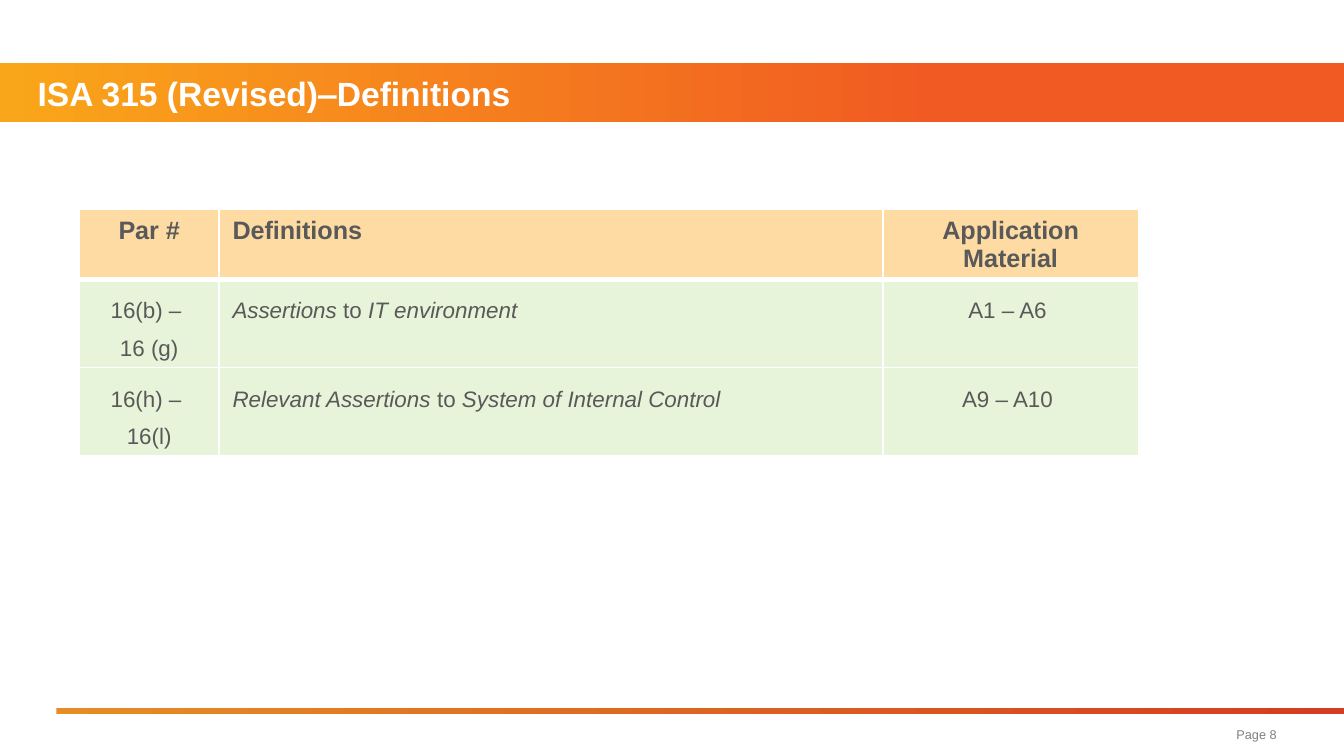
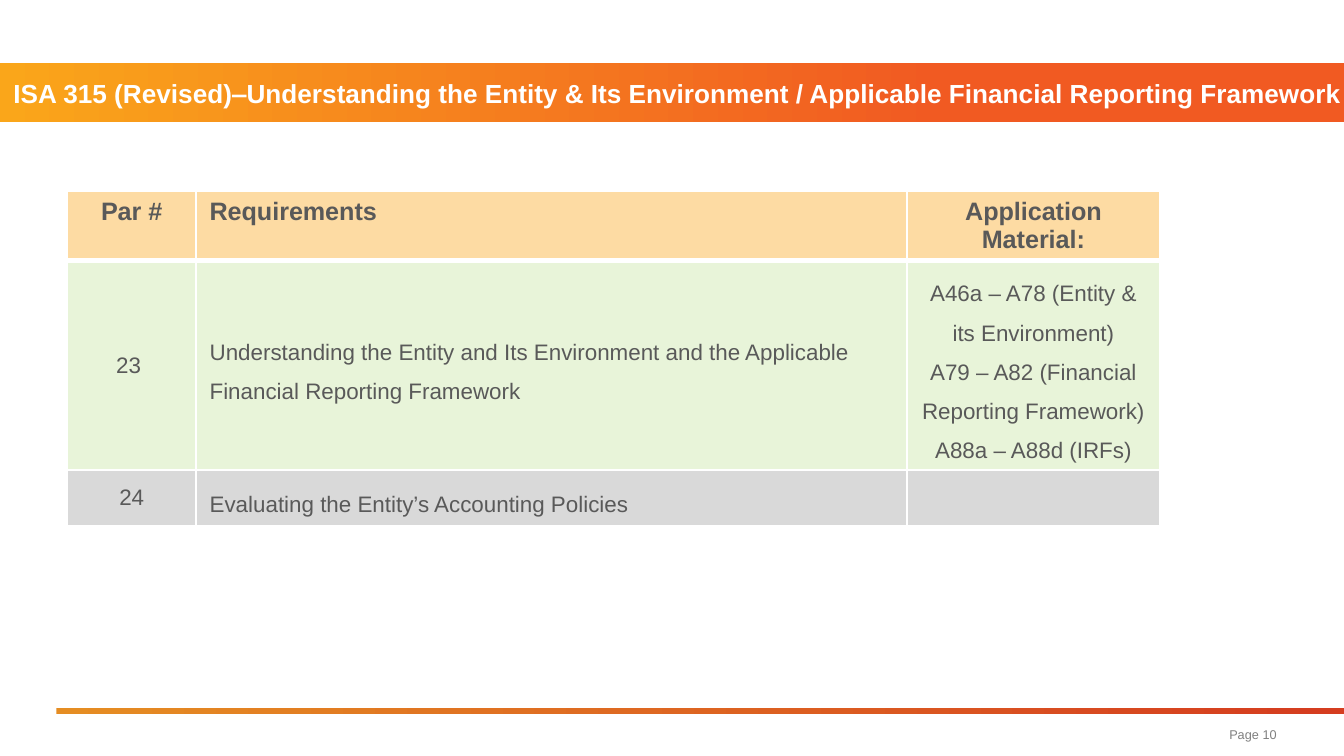
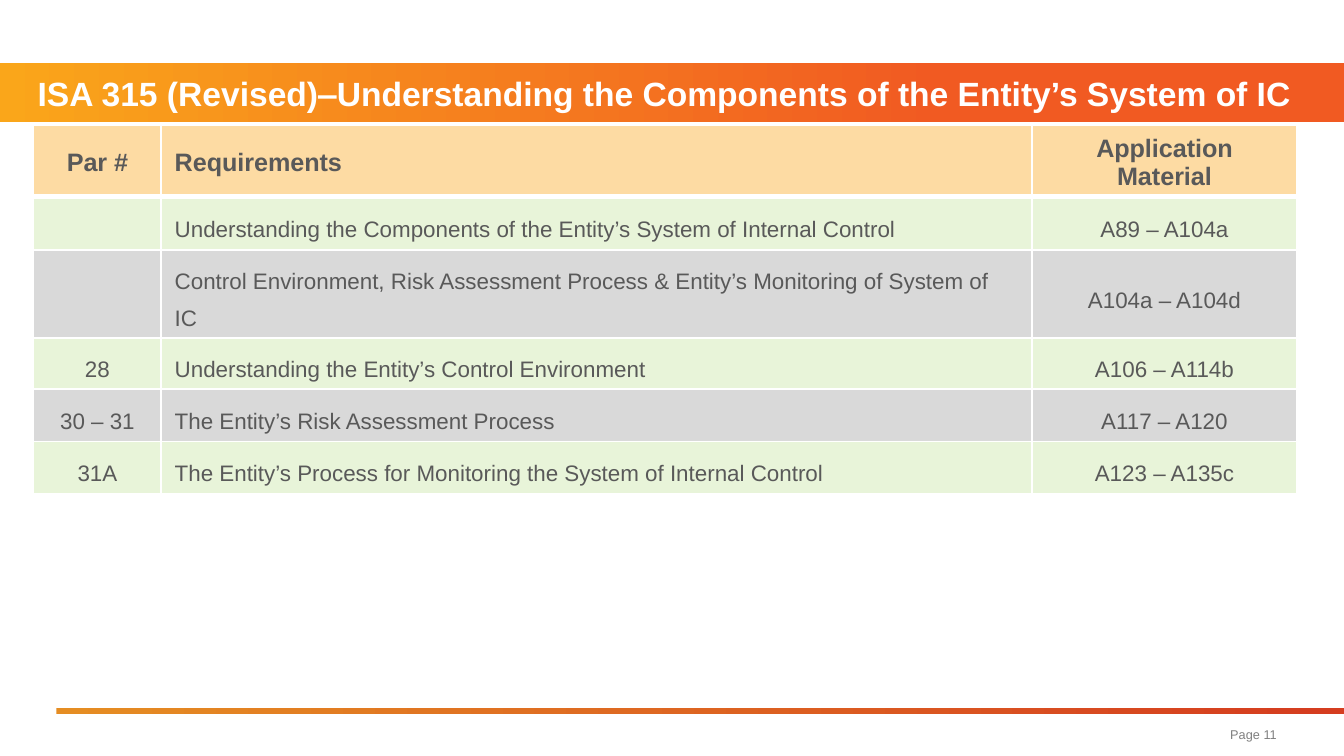
import pptx
import pptx.util
import pptx.dml.color
import pptx.enum.shapes
import pptx.enum.text
import pptx.oxml
import pptx.oxml.ns

Inches = pptx.util.Inches
Pt = pptx.util.Pt
RGBColor = pptx.dml.color.RGBColor
ALIGN = pptx.enum.text.PP_ALIGN
ANCHOR = pptx.enum.text.MSO_ANCHOR

WHITE = RGBColor(0xFF, 0xFF, 0xFF)
GREY = RGBColor(0x80, 0x80, 0x80)
DARK = RGBColor(0x59, 0x59, 0x59)
PEACH = RGBColor(0xFD, 0xDB, 0xA3)
GREEN = RGBColor(0xE8, 0xF4, 0xD9)
SILVER = RGBColor(0xD9, 0xD9, 0xD9)
AMBER = RGBColor(0xFA, 0xA6, 0x1A)
ORANGE = RGBColor(0xF1, 0x5A, 0x22)
GOLD = RGBColor(0xE5, 0x8D, 0x23)
RED = RGBColor(0xD5, 0x3D, 0x20)

BANDS = [
    ((0, 0.47, 10, 0.44), AMBER, ORANGE, 0.7),
    ((0.42, 5.27, 9.58, 0.04), GOLD, RED, 0.99),
]

PAGES = [
    dict(
        title="ISA 315 (Revised)‒Definitions", left=0, inset=0.28, size=18, page=8,
        at=(0.59, 1.56), cols=(1.04, 4.94, 1.9), highs=(0.51, 0.65, 0.65),
        leads=(20, 20, 20), fills=(GREEN, GREEN), head=ANCHOR.TOP, body=ANCHOR.TOP,
        rows=[
            ("Par #", "Definitions", "Application Material"),
            ("16(b) – \n16 (g)", "*Assertions* to *IT environment*", "A1 – A6 "),
            ("16(h) – \n16(l)", "*Relevant Assertions *to* System of Internal Control*",
             "A9 – A10 "),
        ],
    ),
    dict(
        title="ISA 315 (Revised)‒Understanding the Entity & Its Environment / "
              "Applicable Financial Reporting Framework",
        left=0.1, inset=0, size=14, page=10,
        at=(0.5, 1.42), cols=(0.96, 5.29, 1.88), highs=(0.51, 1.55, 0.41),
        leads=(None, 21, 21), fills=(GREEN, SILVER), head=ANCHOR.TOP, body=ANCHOR.MIDDLE,
        rows=[
            ("Par #", "Requirements", "Application Material:"),
            ("23 ",
             "Understanding the Entity and Its Environment and the Applicable "
             "Financial Reporting Framework",
             ["A46a – A78 (Entity & its Environment)",
              "A79 ‒ A82 (Financial Reporting Framework)",
              "A88a ‒ A88d (IRFs)"]),
            ("24", "Evaluating the Entity’s Accounting Policies", ""),
        ],
    ),
    dict(
        title="ISA 315 (Revised)‒Understanding the Components of the Entity’s System of IC",
        left=0, inset=0.28, size=18, page=11,
        at=(0.25, 0.93), cols=(0.95, 6.48, 1.97), highs=(0.53, 0.39, 0.65, 0.38, 0.39, 0.39),
        leads=(20, 20, 20), fills=(GREEN, SILVER), head=ANCHOR.MIDDLE, body=ANCHOR.MIDDLE,
        rows=[
            ("Par #", "Requirements", "Application Material"),
            ("", "Understanding the Components of the Entity’s System of Internal Control",
             "A89 – A104a"),
            ("", "Control Environment, Risk Assessment Process & Entity’s Monitoring "
             "of System of IC", "A104a – A104d"),
            ("28", "Understanding the Entity’s Control Environment", "A106 – A114b"),
            ("30 ‒ 31", "The Entity’s Risk Assessment Process", "A117 – A120"),
            ("31A", "The Entity’s Process for Monitoring the System of Internal Control",
             "A123 – A135c"),
        ],
    ),
]


def write(frame, text, size=12, color=DARK, bold=False, align=ALIGN.LEFT, lead=None):
    frame.word_wrap = True
    for i, part in enumerate(text if isinstance(text, list) else [text]):
        para = frame.add_paragraph() if i else frame.paragraphs[0]
        para.alignment = align
        if lead:
            para.line_spacing = Pt(lead)
        for j, line in enumerate(part.split("\n")):
            if j:
                para.add_line_break()
            for k, words in enumerate(line.split("*")):
                if words:
                    run = para.add_run()
                    run.text = words
                    font = run.font
                    font.name = "Arial"
                    font.size = Pt(size)
                    font.bold = bold
                    font.italic = k % 2 == 1
                    font.color.rgb = color


def place(slide, left, top, width, height, inset=0):
    box = slide.shapes.add_textbox(Inches(left), Inches(top), Inches(width), Inches(height))
    frame = box.text_frame
    frame.margin_left = Inches(inset)
    frame.margin_right = frame.margin_top = frame.margin_bottom = 0
    frame.vertical_anchor = ANCHOR.MIDDLE
    return frame


deck = pptx.Presentation()
deck.slide_width = Inches(10)
deck.slide_height = Inches(10) * 9 // 16

for page in PAGES:
    slide = deck.slides.add_slide(deck.slide_layouts[6])
    for spot, start, end, stop in BANDS:
        band = slide.shapes.add_shape(
            pptx.enum.shapes.MSO_SHAPE.RECTANGLE, *[Inches(n) for n in spot])
        band.shadow.inherit = False
        band.line.fill.background()
        band.fill.gradient()
        band.fill.gradient_angle = 0
        first, last = band.fill.gradient_stops
        first.color.rgb, first.position = start, 0
        last.color.rgb, last.position = end, stop

    write(place(slide, page["left"], 0.47, 10, 0.44, page["inset"]), page["title"],
          size=page["size"], color=WHITE, bold=True)
    write(place(slide, 7.79, 5.34, 1.71, 0.25), f"Page {page['page']}",
          size=6.8, color=GREY, align=ALIGN.RIGHT)

    cols, highs = page["cols"], page["highs"]
    table = slide.shapes.add_table(
        len(highs), len(cols), *[Inches(n) for n in page["at"]],
        Inches(sum(cols)), Inches(sum(highs))).table
    table.first_row = table.horz_banding = False
    for col, width in zip(table.columns, cols):
        col.width = Inches(width)
    for r, (row, high) in enumerate(zip(table.rows, highs)):
        row.height = Inches(high)
        for c, cell in enumerate(row.cells):
            props = cell._tc.get_or_add_tcPr()
            for side in "LRTB":
                thick = (r, side) in [(0, "B"), (1, "T")]
                props.append(pptx.oxml.parse_xml(
                    f'<a:ln{side} {pptx.oxml.ns.nsdecls("a")} w="{Pt(3 if thick else 1)}">'
                    f'<a:solidFill><a:srgbClr val="{WHITE}"/></a:solidFill></a:ln{side}>'))
            cell.fill.solid()
            cell.fill.fore_color.rgb = page["fills"][(r - 1) % 2] if r else PEACH
            cell.vertical_anchor = page["body"] if r else page["head"]
            if r == 0:
                cell.margin_bottom = Inches(0.02)
            if c == 1:
                cell.margin_right = Inches(0.15)
            write(cell.text_frame, page["rows"][r][c],
                  size=12 if r else 13.5, bold=r == 0,
                  align=ALIGN.LEFT if c == 1 else ALIGN.CENTER,
                  lead=page["leads"][c] if r else None)

deck.save("out.pptx")
